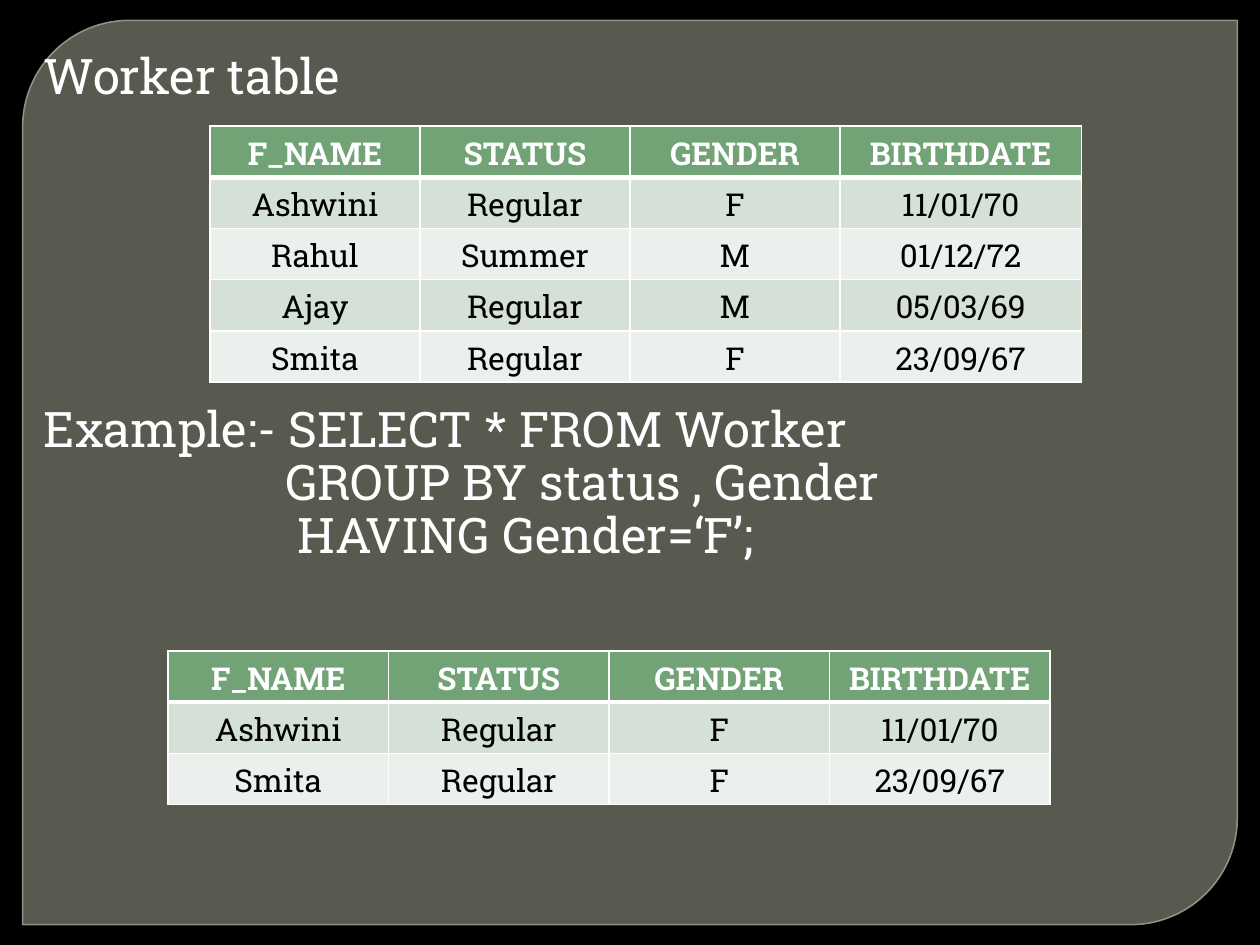
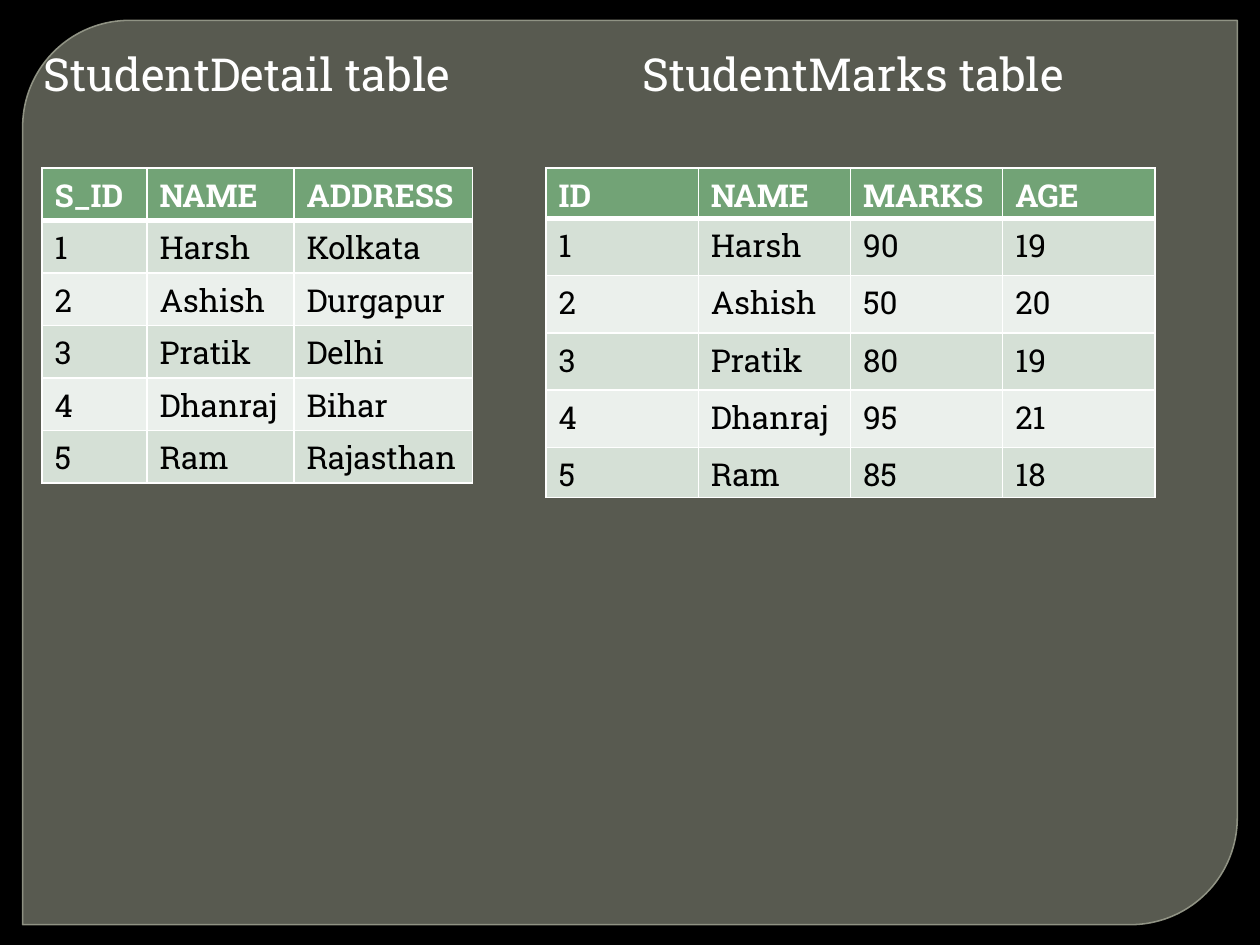
from lxml.etree import SubElement
from pptx import Presentation
from pptx.dml.color import RGBColor
from pptx.enum.shapes import MSO_SHAPE
from pptx.enum.text import PP_ALIGN
from pptx.oxml.ns import qn
from pptx.util import Inches, Pt

BLACK = RGBColor(0x00, 0x00, 0x00)
WHITE = RGBColor(0xFF, 0xFF, 0xFF)
OLIVE = RGBColor(0x88, 0x8B, 0x7B)
EDGE = RGBColor(0x9D, 0xA0, 0x90)
GREEN = RGBColor(0x72, 0xA3, 0x76)
BANDS = (RGBColor(0xEB, 0xF0, 0xEC), RGBColor(0xD5, 0xE0, 0xD6))
FONT = "Roboto Slab"
WIDE, HIGH = Inches(10), Inches(7.5)
UNIT = WIDE / 120

WORKER = [
    ("F_NAME", "STATUS", "GENDER", "BIRTHDATE"),
    ("Ashwini", "Regular", "F", "11/01/70"),
    ("Rahul", "Summer", "M", "01/12/72"),
    ("Ajay", "Regular", "M", "05/03/69"),
    ("Smita", "Regular", "F", "23/09/67"),
]
FEMALE = [row for row in WORKER if row[2] in ("GENDER", "F")]
DETAIL = [
    ("S_ID", "NAME", "ADDRESS"),
    ("1", "Harsh", "Kolkata"),
    ("2", "Ashish", "Durgapur"),
    ("3", "Pratik", "Delhi"),
    ("4", "Dhanraj", "Bihar"),
    ("5", "Ram", "Rajasthan"),
]
MARKS = [
    ("ID", "NAME", "MARKS", "AGE"),
    ("1", "Harsh", "90", "19"),
    ("2", "Ashish", "50", "20"),
    ("3", "Pratik", "80", "19"),
    ("4", "Dhanraj", "95", "21"),
    ("5", "Ram", "85", "18"),
]


def grid(*spans):
    """Turn grid units into slide lengths."""
    return [round(span * UNIT) for span in spans]


def fade(fill, share):
    """Set the opacity of a solid fill in percent."""
    color = fill._xPr.find(qn("a:solidFill"))[0]
    SubElement(color, qn("a:alpha"), val=str(share * 1000))


def add_run(para, text, size, color, bold=False):
    """Add one styled run to a paragraph."""
    run = para.add_run()
    run.text = text
    font = run.font
    font.name, font.size, font.bold = FONT, Pt(size), bold
    font.color.rgb = color


def add_panel(slide):
    """Draw the rounded panel behind the content."""
    left, top = WIDE * 0.018, HIGH * 0.0215
    panel = slide.shapes.add_shape(
        MSO_SHAPE.ROUND_2_DIAG_RECTANGLE,
        round(left), round(top), round(WIDE - 2 * left), round(HIGH - 2 * top))
    panel.adjustments[0], panel.adjustments[1] = 0.118, 0
    panel.shadow.inherit = False
    panel.fill.solid()
    panel.fill.fore_color.rgb = OLIVE
    fade(panel.fill, 65)
    panel.line.width = Pt(0.87)
    panel.line.color.rgb = EDGE
    fade(panel.line.fill, 88)


def add_text(slide, left, top, wide, size, lines):
    """Add lines of text, each given with its indent in grid units."""
    box = slide.shapes.add_textbox(*grid(left, top, wide, 6 * len(lines)))
    frame = box.text_frame
    frame.word_wrap = True
    for spot, (text, indent) in enumerate(lines):
        para = frame.add_paragraph() if spot else frame.paragraphs[0]
        para.line_spacing = 0.9
        para._p.get_or_add_pPr().set("marL", str(grid(indent)[0]))
        add_run(para, text, size, WHITE)


def add_edge(cell, side, width):
    """Draw one white border of a cell."""
    line = SubElement(cell._tc.get_or_add_tcPr(), qn(f"a:ln{side}"), w=str(Pt(width)))
    fill = SubElement(line, qn("a:solidFill"))
    SubElement(fill, qn("a:srgbClr"), val=str(WHITE))


def fill_cell(cell, text, row, align):
    """Style a cell by its row and write its text."""
    head = row == 0
    for side in "LRTB":
        thick = (side, row) in (("B", 0), ("T", 1))
        add_edge(cell, side, 3 if thick else 1)
    cell.fill.solid()
    cell.fill.fore_color.rgb = GREEN if head else BANDS[row % 2]
    para = cell.text_frame.paragraphs[0]
    para.alignment = align
    add_run(para, text, 18, WHITE if head else BLACK, head)


def add_grid(slide, left, top, cols, rows, data, align=PP_ALIGN.LEFT):
    """Add a banded table with a green header row."""
    place = grid(left, top, sum(cols), sum(rows))
    table = slide.shapes.add_table(len(rows), len(cols), *place).table
    for col, wide in zip(table.columns, grid(*cols)):
        col.width = wide
    for row, high in zip(table.rows, grid(*rows)):
        row.height = high
    for row, texts in enumerate(data):
        for col, text in enumerate(texts):
            fill_cell(table.cell(row, col), text, row, align)


def add_slide(deck):
    """Add a blank slide with its panel."""
    slide = deck.slides.add_slide(deck.slide_layouts[6])
    add_panel(slide)
    return slide


def show_query(deck):
    """Build the slide on grouping workers."""
    slide = add_slide(deck)
    add_text(slide, 3, 4.4, 114, 28, [("Worker table", 0)])
    add_text(slide, 3, 38, 114, 28, [
        ("Example:- SELECT * FROM Worker", 0),
        ("GROUP BY status , Gender", 23),
        ("HAVING Gender=‘F’;", 24.2),
    ])
    add_grid(slide, 20, 12, [20, 20, 20, 23], [4.88] * 5, WORKER, PP_ALIGN.CENTER)
    add_grid(slide, 16, 62, [21] * 4, [4.88] * 3, FEMALE, PP_ALIGN.CENTER)


def show_marks(deck):
    """Build the slide with the two student tables."""
    slide = add_slide(deck)
    add_text(slide, 3, 4.4, 54, 26, [("StudentDetail table", 0)])
    add_text(slide, 60, 4.4, 54, 26, [("StudentMarks table", 0)])
    add_grid(slide, 4, 16, [10, 14, 17], [5] * 6, DETAIL)
    add_grid(slide, 52, 16, [14.5] * 4, [4, *[5.45] * 4, 4.4], MARKS)


def main():
    """Build and save the deck."""
    deck = Presentation()
    deck.slide_width, deck.slide_height = WIDE, HIGH
    back = deck.slide_master.background.fill
    back.solid()
    back.fore_color.rgb = BLACK
    show_query(deck)
    show_marks(deck)
    deck.save("out.pptx")


if __name__ == "__main__":
    main()
